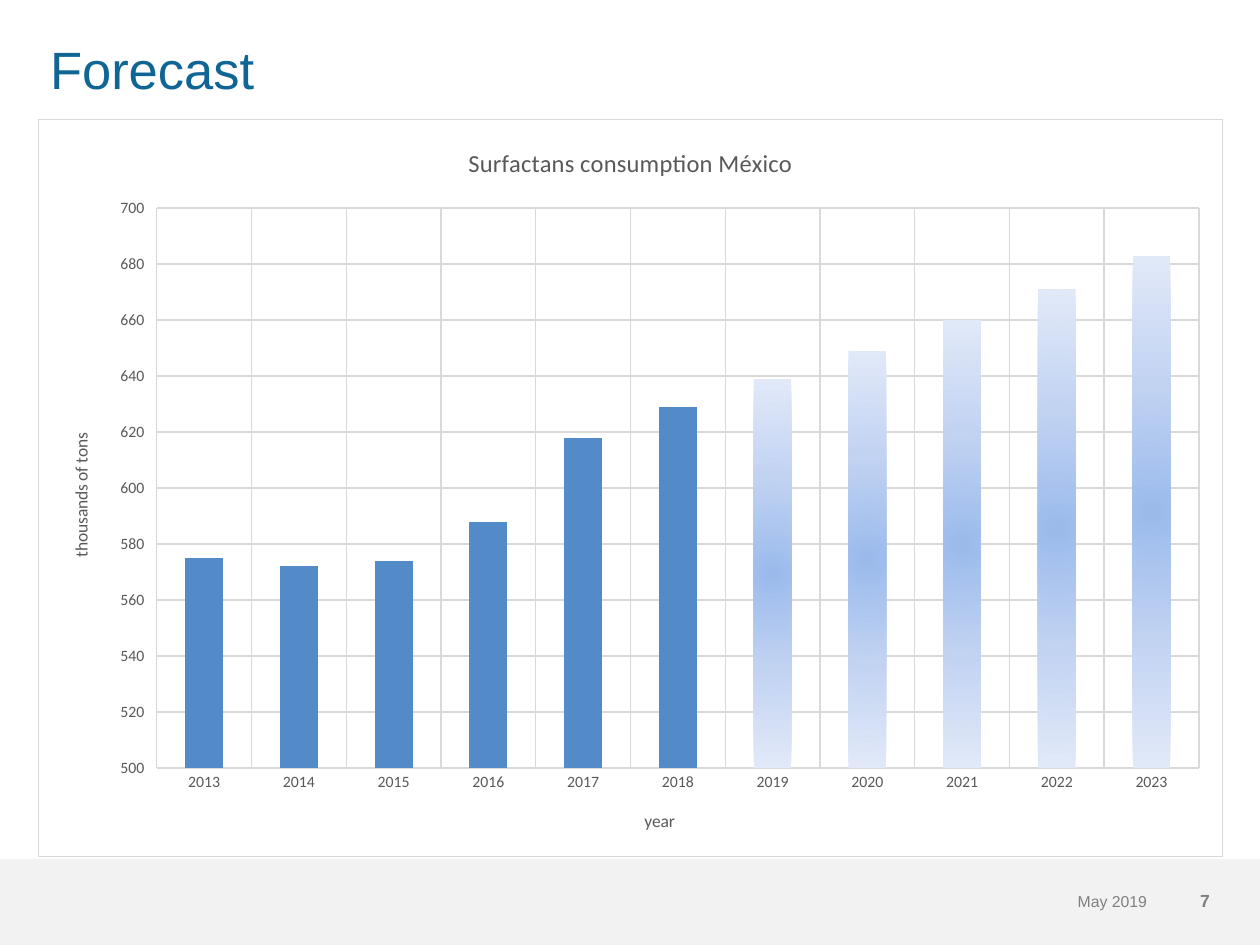
"""Build the forecast slide with its column chart of consumption by year."""
from pptx import Presentation
from pptx.chart.data import CategoryChartData
from pptx.dml.color import RGBColor
from pptx.enum.chart import XL_CHART_TYPE, XL_TICK_MARK
from pptx.enum.shapes import MSO_SHAPE
from pptx.enum.text import MSO_ANCHOR, PP_ALIGN
from pptx.oxml import parse_xml
from pptx.oxml.ns import nsdecls, qn
from pptx.util import Cm, Pt

TITLE_BLUE = RGBColor(0x0F, 0x65, 0x93)
FOOTER_GREY = RGBColor(0x80, 0x80, 0x80)
BAND_GREY = RGBColor(0xF2, 0xF2, 0xF2)
LABEL_GREY = RGBColor(0x59, 0x59, 0x59)
GRID_GREY = RGBColor(0xD9, 0xD9, 0xD9)
WHITE = RGBColor(0xFF, 0xFF, 0xFF)
BAR_BLUE = RGBColor(0x53, 0x8B, 0xC8)
FORECAST_STOPS = (
    (0, RGBColor(0x9A, 0xBA, 0xEC)),
    (50, RGBColor(0xC2, 0xD3, 0xF2)),
    (100, RGBColor(0xE1, 0xE9, 0xF8)),
)

FIRST_YEAR = 2013
FIRST_FORECAST_YEAR = 2019
CONSUMPTION = (575, 572, 574, 588, 618, 629, 639, 649, 660, 671, 683)


def add_footer_band(slide):
    band = slide.shapes.add_shape(
        MSO_SHAPE.RECTANGLE, Cm(0), Cm(17.32), Cm(25.4), Cm(1.73))
    band.shadow.inherit = False
    band.fill.solid()
    band.fill.fore_color.rgb = BAND_GREY
    band.line.fill.background()


def add_label(slide, text, box, size, color, align=PP_ALIGN.LEFT,
              anchor=MSO_ANCHOR.MIDDLE, bold=False, spacing=1.0):
    frame = slide.shapes.add_textbox(*map(Cm, box)).text_frame
    frame.word_wrap = True
    frame.vertical_anchor = anchor
    paragraph = frame.paragraphs[0]
    paragraph.text = text
    paragraph.alignment = align
    paragraph.line_spacing = spacing
    style_font(paragraph.font, size, color, "Arial", bold)


def style_font(font, size, color, name="Calibri", bold=False):
    font.name = name
    font.size = Pt(size)
    font.bold = bold
    font.color.rgb = color


def style_title(owner, text, size):
    paragraph = owner.text_frame.paragraphs[0]
    paragraph.text = text
    style_font(paragraph.font, size, LABEL_GREY)


def style_line(line):
    line.color.rgb = GRID_GREY
    line.width = Pt(0.75)


def style_axis(axis, title):
    axis.has_title = True
    style_title(axis.axis_title, title, 10)
    style_font(axis.tick_labels.font, 9, LABEL_GREY)
    axis.has_major_gridlines = True
    style_line(axis.major_gridlines.format.line)


def frame_chart(chart):
    border = parse_xml(
        f'<c:spPr {nsdecls("c", "a")}>'
        f'<a:solidFill><a:srgbClr val="{WHITE}"/></a:solidFill>'
        f'<a:ln w="{Pt(0.75)}"><a:solidFill><a:srgbClr val="{GRID_GREY}"/>'
        '</a:solidFill></a:ln></c:spPr>')
    chart._chartSpace.find(qn("c:txPr")).addprevious(border)


def place_plot(chart, x, y, width, height):
    plot_area = chart._chartSpace.chart.plotArea
    for layout in plot_area.findall(qn("c:layout")):
        plot_area.remove(layout)
    plot_area.insert(0, parse_xml(
        f'<c:layout {nsdecls("c")}><c:manualLayout>'
        '<c:layoutTarget val="inner"/>'
        '<c:xMode val="edge"/><c:yMode val="edge"/>'
        f'<c:x val="{x}"/><c:y val="{y}"/>'
        f'<c:w val="{width}"/><c:h val="{height}"/>'
        '</c:manualLayout></c:layout>'))


def fade_bar(series, index):
    stops = "".join(
        f'<a:gs pos="{percent * 1000}"><a:srgbClr val="{color}"/></a:gs>'
        for percent, color in FORECAST_STOPS)
    gradient = parse_xml(
        f'<a:gradFill {nsdecls("a")}><a:gsLst>{stops}</a:gsLst>'
        '<a:path path="circle">'
        '<a:fillToRect l="50000" t="50000" r="50000" b="50000"/>'
        '</a:path></a:gradFill>')
    bar = series._element.get_or_add_dPt_for_point(index)
    bar.get_or_add_spPr().append(gradient)


def add_consumption_chart(slide):
    years = range(FIRST_YEAR, FIRST_YEAR + len(CONSUMPTION))
    data = CategoryChartData(number_format="##,#00")
    data.categories = [str(year) for year in years]
    data.add_series("Series 1", CONSUMPTION)
    chart = slide.shapes.add_chart(
        XL_CHART_TYPE.COLUMN_CLUSTERED,
        Cm(0.76), Cm(2.4), Cm(23.9), Cm(14.88), data).chart
    style_font(chart.font, 10, LABEL_GREY)
    chart.has_legend = False
    chart.has_title = True
    style_title(chart.chart_title, "Surfactans consumption México", 14)
    frame_chart(chart)
    place_plot(chart, 0.1, 0.12, 0.88, 0.76)

    style_axis(chart.category_axis, "year")
    chart.category_axis.major_tick_mark = XL_TICK_MARK.NONE
    style_line(chart.category_axis.format.line)
    tons_axis = chart.value_axis
    style_axis(tons_axis, "thousands of tons")
    tons_axis.minimum_scale = 500
    tons_axis.maximum_scale = 700
    tons_axis.major_unit = 20
    tons_axis.format.line.fill.background()
    tons_axis.tick_labels.number_format = "##,#00"
    tons_axis.tick_labels.number_format_is_linked = False

    plot = chart.plots[0]
    plot.gap_width = 150
    plot.vary_by_categories = False
    consumption = plot.series[0]
    consumption.invert_if_negative = False
    consumption.format.fill.solid()
    consumption.format.fill.fore_color.rgb = BAR_BLUE
    for index, year in enumerate(years):
        if year >= FIRST_FORECAST_YEAR:
            fade_bar(consumption, index)


def main():
    presentation = Presentation()
    presentation.slide_width = Cm(25.4)
    presentation.slide_height = Cm(19.05)
    slide = presentation.slides.add_slide(presentation.slide_layouts[6])
    add_footer_band(slide)
    add_label(slide, "Forecast", (0.76, 0.76, 23.9, 3.68), 30, TITLE_BLUE,
              anchor=MSO_ANCHOR.TOP, spacing=0.9)
    add_label(slide, "May 2019", (19.08, 17.65, 4.29, 1.02), 9, FOOTER_GREY,
              align=PP_ALIGN.RIGHT)
    add_label(slide, "7", (23.37, 17.65, 1.27, 1.02), 10, FOOTER_GREY,
              align=PP_ALIGN.RIGHT, bold=True)
    add_consumption_chart(slide)
    presentation.save("out.pptx")


main()
